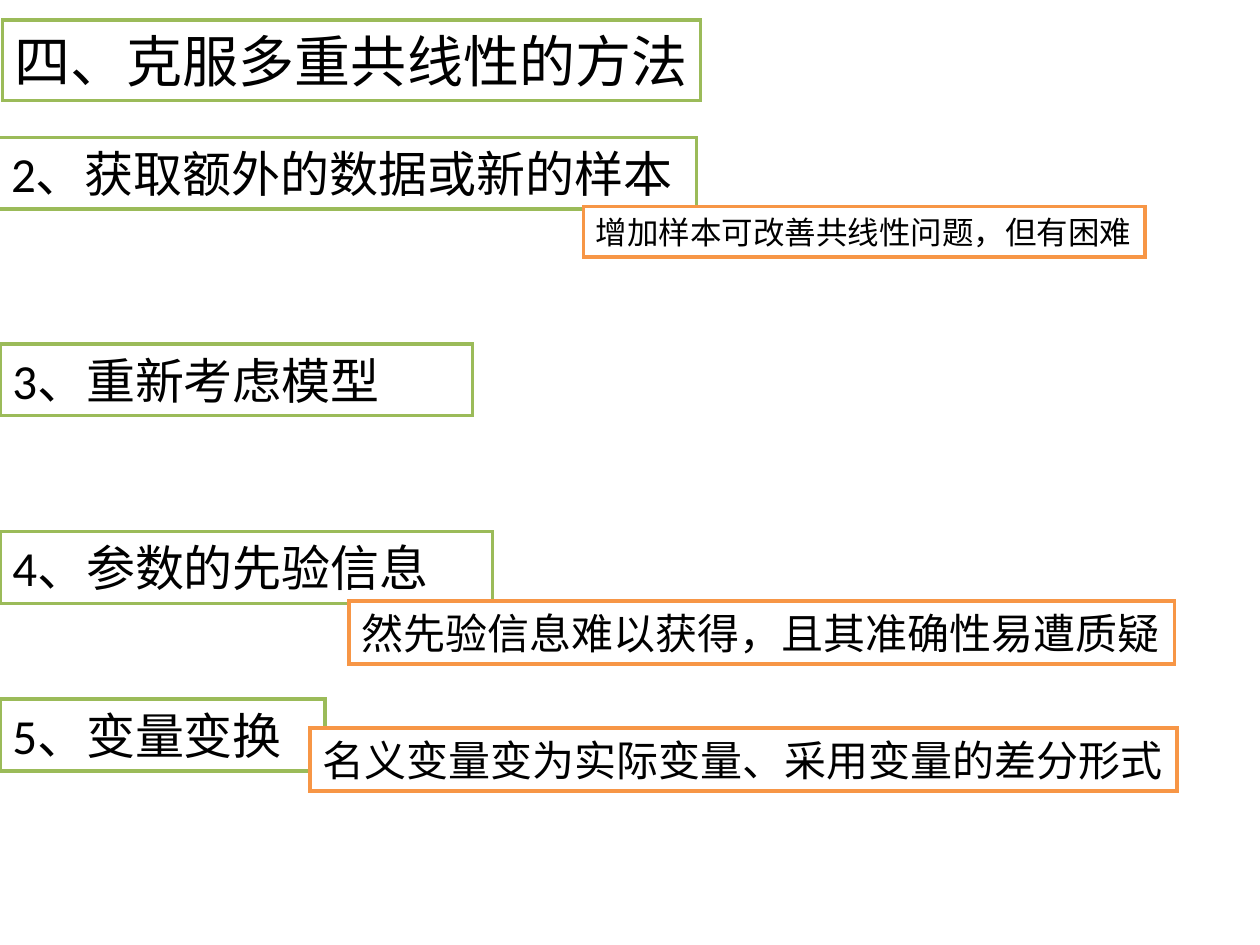
import lxml.etree
import pptx
import pptx.util
import pptx.dml.color
import pptx.enum.shapes
import pptx.enum.text
import pptx.oxml.ns

Inches = pptx.util.Inches
GREEN, ORANGE, WHITE, BLACK = "9BBB59", "F79646", "FFFFFF", "000000"

# left, top, width, height, wrap, text
HEADS = [
    (-0.01, 1.09, 5.54, 0.57, False, "2、获取额外的数据或新的样本"),
    (0, 2.73, 3.75, 0.57, True, "3、重新考虑模型"),
    (0, 4.22, 3.91, 0.57, True, "4、参数的先验信息"),
    (0, 5.55, 2.58, 0.57, True, "5、变量变换"),
]
TITLE = (0.02, 0.16, 5.54, 0.64, False, "四、克服多重共线性的方法")
# text size, box
NOTES = [
    (18, (4.63, 1.64, 4.46, 0.4, False, "增加样本可改善共线性问题，但有困难")),
    (24, (2.77, 4.77, 6.55, 0.5, False, "然先验信息难以获得，且其准确性易遭质疑")),
    (24, (2.46, 5.78, 6.88, 0.5, False, "名义变量变为实际变量、采用变量的差分形式")),
]


def paint(color, value):
    color.rgb = pptx.dml.color.RGBColor.from_string(value)


def assign(target, values):
    for name, value in values.items():
        setattr(target, name, value)


def frame_edge(shape, edge):
    """Draw the outline with square corners."""
    paint(shape.line.color, edge)
    shape.line.width = pptx.util.Pt(2)
    qn = pptx.oxml.ns.qn
    outline = shape.element.spPr.find(qn("a:ln"))
    lxml.etree.SubElement(outline, qn("a:miter"), lim="800000")


def add_box(slide, box, size, edge):
    """Add a white framed box that grows to fit its one line of text."""
    *place, wrap, text = box
    shape = slide.shapes.add_shape(
        pptx.enum.shapes.MSO_SHAPE.RECTANGLE, *map(Inches, place))
    shape.shadow.inherit = False
    shape.fill.solid()
    paint(shape.fill.fore_color, WHITE)
    frame_edge(shape, edge)
    frame = shape.text_frame
    assign(frame, {
        "text": text,
        "word_wrap": wrap,
        "auto_size": pptx.enum.text.MSO_AUTO_SIZE.SHAPE_TO_FIT_TEXT,
        "vertical_anchor": pptx.enum.text.MSO_ANCHOR.TOP,
    })
    para = frame.paragraphs[0]
    para.alignment = pptx.enum.text.PP_ALIGN.LEFT
    font = para.runs[0].font
    assign(font, {"name": "Calibri", "size": pptx.util.Pt(size)})
    paint(font.color, BLACK)


def main():
    deck = pptx.Presentation()
    assign(deck, {"slide_width": Inches(10), "slide_height": Inches(7.5)})
    slide = deck.slides.add_slide(deck.slide_layouts[6])
    add_box(slide, TITLE, 32, GREEN)
    for head in HEADS:
        add_box(slide, head, 28, GREEN)
    for size, note in NOTES:
        add_box(slide, note, size, ORANGE)
    deck.save("out.pptx")


if __name__ == "__main__":
    main()
